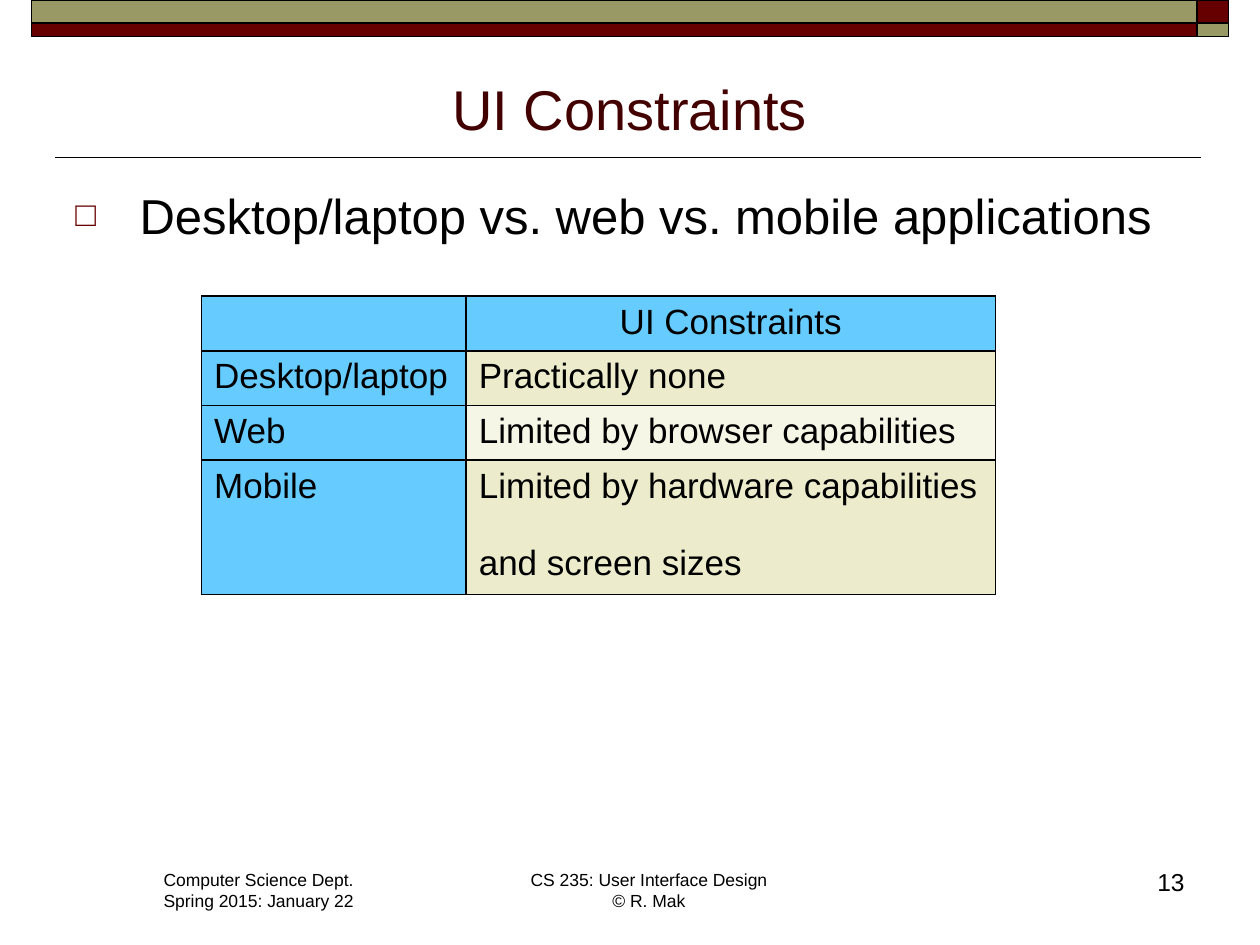
from lxml.etree import SubElement
from pptx import Presentation
from pptx.dml.color import RGBColor
from pptx.enum.shapes import MSO_CONNECTOR, MSO_SHAPE
from pptx.enum.text import MSO_ANCHOR, PP_ALIGN
from pptx.oxml.ns import qn
from pptx.util import Inches, Pt

# Content
TITLE = "UI Constraints"
BULLET = "Desktop/laptop vs. web vs. mobile applications"
DEPARTMENT = [["Computer Science Dept."], ["Spring 2015: January 22"]]
COURSE = [["CS 235: User Interface Design", "© R. Mak"]]
PAGE = "13"
# Each cell is a list of lines
ROWS = [
    ([], ["UI Constraints"]),
    (["Desktop/laptop"], ["Practically none"]),
    (["Web"], ["Limited by browser capabilities"]),
    (["Mobile"], ["Limited by hardware capabilities ", "and screen sizes"]),
]
COL_WIDTHS = [2.1, 4.2]
ROW_HEIGHTS = [0.41, 0.41, 0.41, 1.03]


class Theme:
    font = "Arial"
    black, maroon, olive, title = "000000", "660000", "999966", "420000"
    head, bands = "66CCFF", ("ECECCC", "F6F6E7")
    title_size, body_size, table_size, page_size, footer_size = 32, 28, 20, 14, 10
    line = 1


def rgb(color):
    return RGBColor.from_string(color)


def write(tf, paragraphs, size, color=Theme.black, align=PP_ALIGN.LEFT):
    """Fill a text frame; each paragraph is a list of lines."""
    for i, lines in enumerate(paragraphs):
        p = tf.paragraphs[0] if i == 0 else tf.add_paragraph()
        p.alignment = align
        for j, line in enumerate(lines):
            if j:
                p.add_line_break()
            r = p.add_run()
            r.text = line
            r.font.name, r.font.size = Theme.font, Pt(size)
            r.font.color.rgb = rgb(color)


def add_text(s, box, paragraphs, size, wrap=True, anchor=MSO_ANCHOR.TOP, **style):
    tf = s.shapes.add_textbox(*map(Inches, box)).text_frame
    tf.word_wrap, tf.vertical_anchor = wrap, anchor
    write(tf, paragraphs, size, **style)
    return tf


def add_band(s, box, color):
    sp = s.shapes.add_shape(MSO_SHAPE.RECTANGLE, *map(Inches, box))
    sp.shadow.inherit = False
    sp.fill.solid()
    sp.fill.fore_color.rgb = rgb(color)
    sp.line.color.rgb, sp.line.width = rgb(Theme.black), Pt(Theme.line)


def add_bullet(p, char, color, percent, indent):
    p.space_before = Pt(0.2 * Theme.body_size)
    pPr = p._p.get_or_add_pPr()
    pPr.set("marL", str(Inches(indent)))
    pPr.set("indent", str(-Inches(indent)))
    SubElement(SubElement(pPr, qn("a:buClr")), qn("a:srgbClr"), val=color)
    SubElement(pPr, qn("a:buSzPct"), val=str(percent * 1000))
    SubElement(pPr, qn("a:buFont"), typeface=Theme.font)
    SubElement(pPr, qn("a:buChar"), char=char)


def style_cell(cell, fill):
    tcPr = cell._tc.get_or_add_tcPr()
    for side in ("a:lnL", "a:lnR", "a:lnT", "a:lnB"):
        ln = SubElement(tcPr, qn(side), w=str(Pt(Theme.line)))
        SubElement(SubElement(ln, qn("a:solidFill")), qn("a:srgbClr"), val=Theme.black)
    cell.fill.solid()
    cell.fill.fore_color.rgb = rgb(fill)


def add_table(s, left, top):
    shape = s.shapes.add_table(len(ROWS), len(COL_WIDTHS), Inches(left), Inches(top),
                               Inches(sum(COL_WIDTHS)), Inches(sum(ROW_HEIGHTS)))
    table = shape.table
    table.first_row = table.horz_banding = False
    for column, width in zip(table.columns, COL_WIDTHS):
        column.width = Inches(width)
    for i, (row, height) in enumerate(zip(ROWS, ROW_HEIGHTS)):
        table.rows[i].height = Inches(height)
        for j, lines in enumerate(row):
            is_head = i == 0 or j == 0
            cell = table.cell(i, j)
            style_cell(cell, Theme.head if is_head else Theme.bands[(i - 1) % 2])
            write(cell.text_frame, [lines], Theme.table_size,
                  align=PP_ALIGN.CENTER if i == 0 else PP_ALIGN.LEFT)


def main():
    prs = Presentation()
    prs.slide_width, prs.slide_height = Inches(10), Inches(7.5)
    s = prs.slides.add_slide(prs.slide_layouts[6])

    # Rule under the title
    rule = s.shapes.add_connector(MSO_CONNECTOR.STRAIGHT, Inches(0.44), Inches(1.25),
                                  Inches(9.53), Inches(1.25))
    rule.line.color.rgb, rule.line.width = rgb(Theme.black), Pt(Theme.line)
    SubElement(rule._element.spPr, qn("a:effectLst"))

    # Top bands: the two colours swap in the right-hand corner
    colors = (Theme.olive, Theme.maroon)
    for i, (top, height) in enumerate([(0, 0.18), (0.18, 0.11)]):
        add_band(s, (0.25, top, 9.25, height), colors[i])
        add_band(s, (9.5, top, 0.25, height), colors[1 - i])

    # Footer
    add_text(s, (1.2, 6.85, 1.73, 0.44), DEPARTMENT, Theme.footer_size, wrap=False)
    add_text(s, (4.1, 6.85, 2.1, 0.44), COURSE, Theme.footer_size, wrap=False,
             align=PP_ALIGN.CENTER)
    add_text(s, (7.42, 6.83, 2.08, 0.5), [[PAGE]], Theme.page_size, align=PP_ALIGN.RIGHT)

    # Title and bullet
    add_text(s, (0.5, 0.45, 9, 0.72), [[TITLE]], Theme.title_size,
             anchor=MSO_ANCHOR.BOTTOM, color=Theme.title, align=PP_ALIGN.CENTER)
    tf = add_text(s, (0.5, 1.42, 9, 0.73), [[BULLET]], Theme.body_size)
    add_bullet(tf.paragraphs[0], "□", Theme.maroon, 70, 0.51)

    # Constraints table
    add_table(s, 1.6, 2.35)

    prs.save("out.pptx")


if __name__ == "__main__":
    main()
